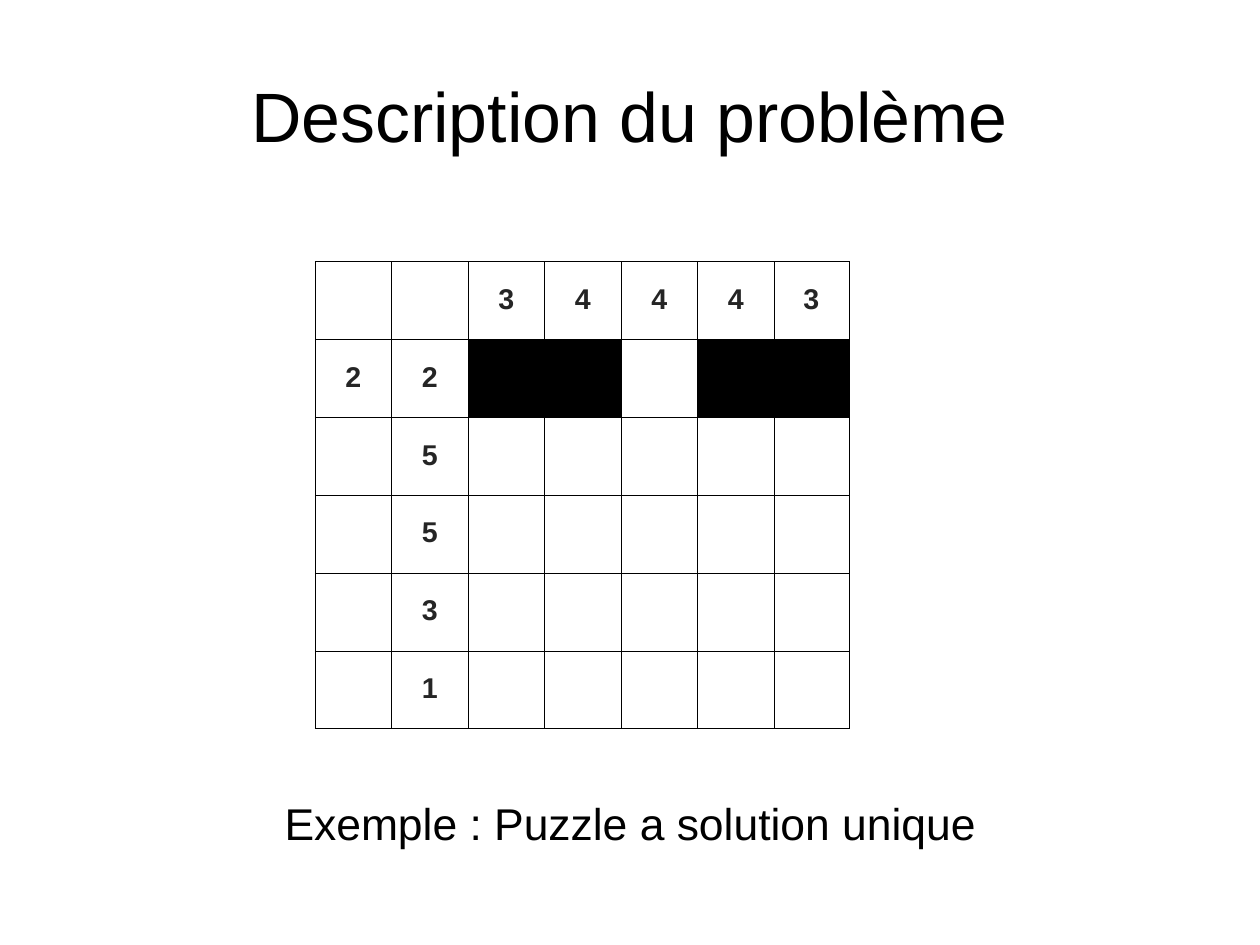
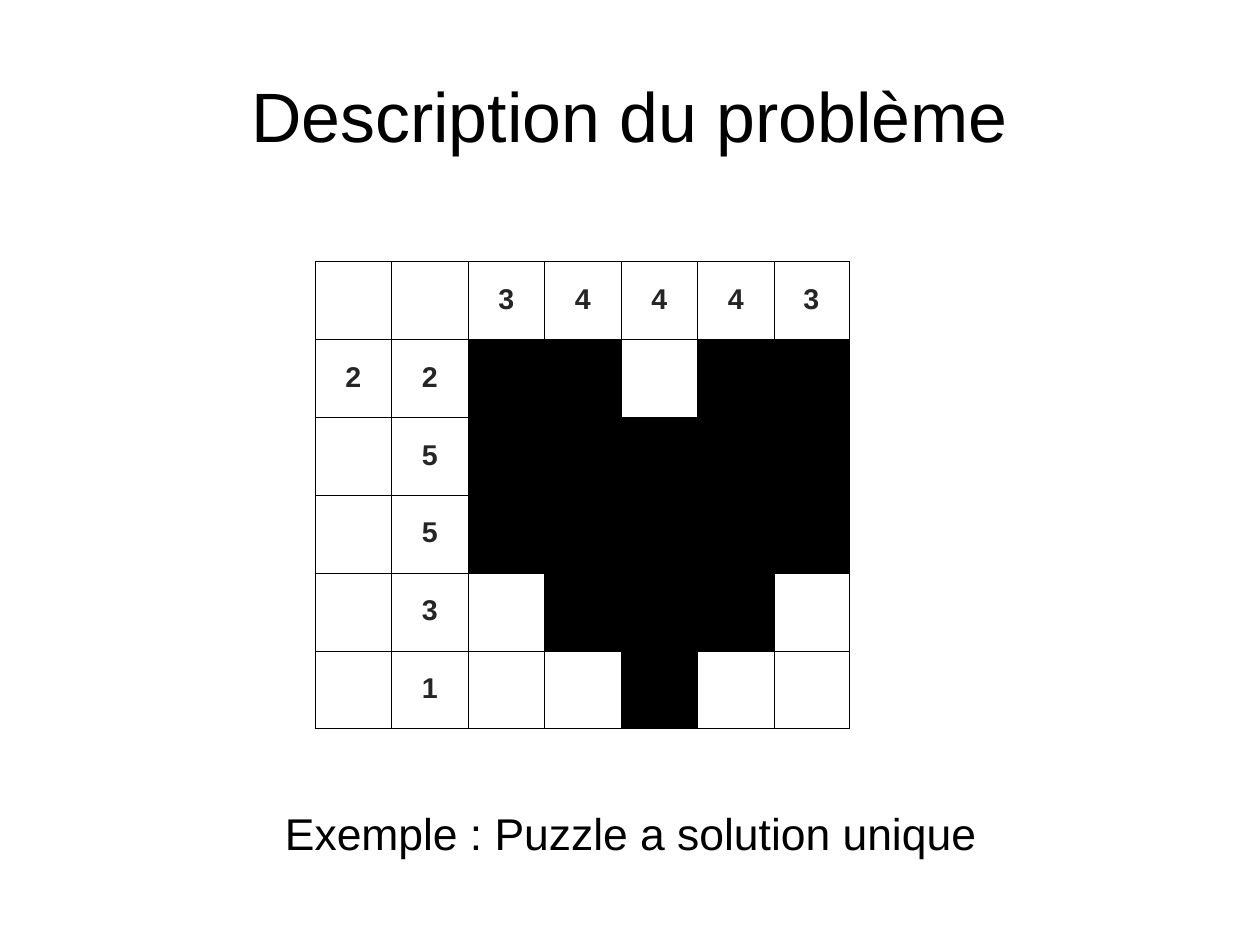
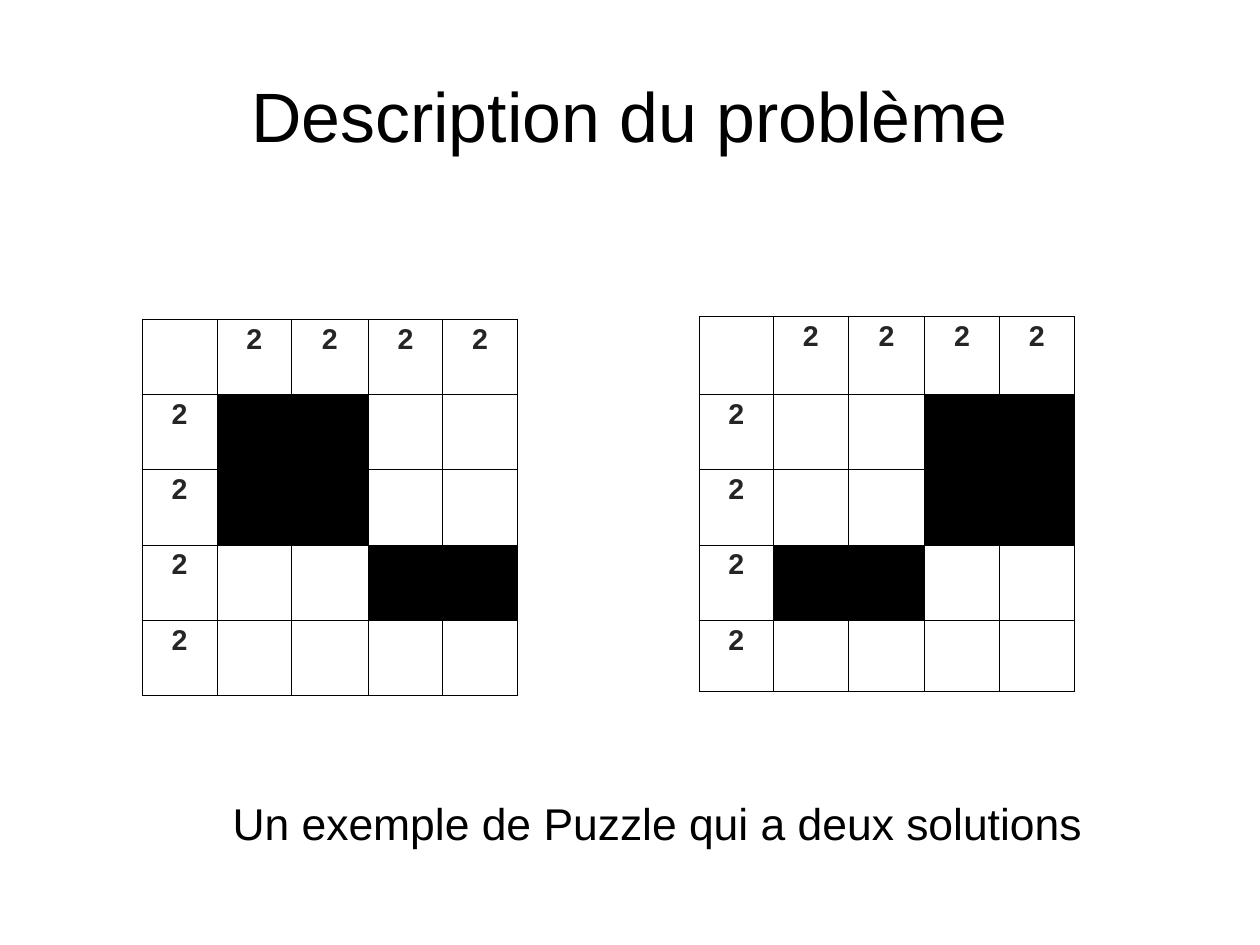
import pptx
import pptx.dml.color
import pptx.enum.text
import pptx.oxml
import pptx.oxml.ns
import pptx.util

Cm = pptx.util.Cm
Pt = pptx.util.Pt
ANCHOR = pptx.enum.text.MSO_ANCHOR

# Shared look
FONT = "Arial"
HEX = {"ink": "000000", "clue": "252525", "paper": "FFFFFF"}
TITLE = "Description du problème"
UNIQUE = "Exemple : Puzzle a solution unique"
DOUBLE = "Un exemple de Puzzle qui a deux solutions"

# Puzzles: digit = clue, "#" = filled square, "." = empty square
START = ["..34443", "22##.##", ".5.....", ".5.....", ".3.....", ".1....."]
HEART = ["..34443", "22##.##", ".5#####", ".5#####", ".3.###.", ".1..#.."]
LEFT = [".2222", "2##..", "2##..", "2..##", "2...."]
RIGHT = [".2222", "2..##", "2..##", "2##..", "2...."]

# Column widths and row heights in cm
WIDE = [1.7] * 6 + [1.66]
TALL = [1.73] * 6
SMALL = [1.66, 1.66, 1.7, 1.66, 1.66]
EVEN = [1.67] * 5
MIXED = [1.73, 1.67, 1.67, 1.67, 1.59]


def rgb(name):
    return pptx.dml.color.RGBColor.from_string(HEX[name])


def write(frame, text, size=28, color="ink", bold=False):
    """Put one centred paragraph in a text frame."""
    par = frame.paragraphs[0]
    par.alignment = pptx.enum.text.PP_ALIGN.CENTER
    par.line_spacing = 0.94
    run = par.add_run()
    run.text = text
    font = run.font
    font.name, font.size, font.bold = FONT, Pt(size), bold
    font.color.rgb = rgb(color)


def inset(part, left, top, right, bottom):
    part.margin_left, part.margin_top = Cm(left), Cm(top)
    part.margin_right, part.margin_bottom = Cm(right), Cm(bottom)


def border(cell, width):
    """Draw a thin line on all four sides of a cell."""
    props = cell._tc.get_or_add_tcPr()
    for spot, side in enumerate("LRTB"):
        line = pptx.oxml.parse_xml(
            f'<a:ln{side} {pptx.oxml.ns.nsdecls("a")} w="{Pt(width)}">'
            f'<a:solidFill><a:srgbClr val="{HEX["ink"]}"/></a:solidFill>'
            f'</a:ln{side}>')
        props.insert(spot, line)


def grid(slide, left, top, puzzle, cols, rows, width, anchor):
    """Place a puzzle as a table with its corner at left, top."""
    table = slide.shapes.add_table(
        len(rows), len(cols), Cm(left), Cm(top),
        Cm(sum(cols)), Cm(sum(rows))).table
    table.first_row = table.horz_banding = False
    for col, size in zip(table.columns, cols):
        col.width = Cm(size)
    for row, size, marks in zip(table.rows, rows, puzzle):
        row.height = Cm(size)
        for cell, mark in zip(row.cells, marks):
            cell.fill.solid()
            cell.fill.fore_color.rgb = rgb("ink" if mark == "#" else "paper")
            border(cell, width)
            inset(cell, 0.18, 0.13, 0.18, 0.13)
            cell.vertical_anchor = anchor
            if mark.isdigit():
                write(cell.text_frame, mark, size=18, color="clue", bold=True)


def caption(slide, text, left, top, width, height):
    box = slide.shapes.add_textbox(Cm(left), Cm(top), Cm(width), Cm(height))
    frame = box.text_frame
    frame.word_wrap = True
    inset(frame, 0.25, 0.18, 0.25, 0.13)
    write(frame, text)


def titled(deck):
    """Add a slide with the shared title."""
    slide = deck.slides.add_slide(deck.slide_layouts[5])
    title = slide.shapes.title
    title.left, title.top = Cm(1.4), Cm(0.84)
    title.width, title.height = Cm(25.2), Cm(3.5)
    frame = title.text_frame
    frame.auto_size = pptx.enum.text.MSO_AUTO_SIZE.NONE
    frame.vertical_anchor = ANCHOR.MIDDLE
    inset(frame, 0, 0.1, 0, 0)
    write(frame, TITLE, size=44)
    return slide


def single(deck, puzzle, left, top):
    """One large puzzle, with its caption at left, top."""
    slide = titled(deck)
    grid(slide, 7, 5.81, puzzle, WIDE, TALL, 0.23, ANCHOR.MIDDLE)
    caption(slide, UNIQUE, left, top, 23.2, 1.4)


def double(deck):
    """Two small puzzles side by side."""
    slide = titled(deck)
    grid(slide, 3.16, 7.1, LEFT, SMALL, EVEN, 0.45, ANCHOR.TOP)
    grid(slide, 15.53, 7.04, RIGHT, SMALL, MIXED, 0.45, ANCHOR.TOP)
    caption(slide, DOUBLE, 4.6, 17.6, 20, 1.35)


def main():
    deck = pptx.Presentation()
    deck.slide_width, deck.slide_height = Cm(28), Cm(21)
    single(deck, START, 2.4, 17.6)
    single(deck, HEART, 2.41, 17.82)
    double(deck)
    deck.save("out.pptx")


if __name__ == "__main__":
    main()
